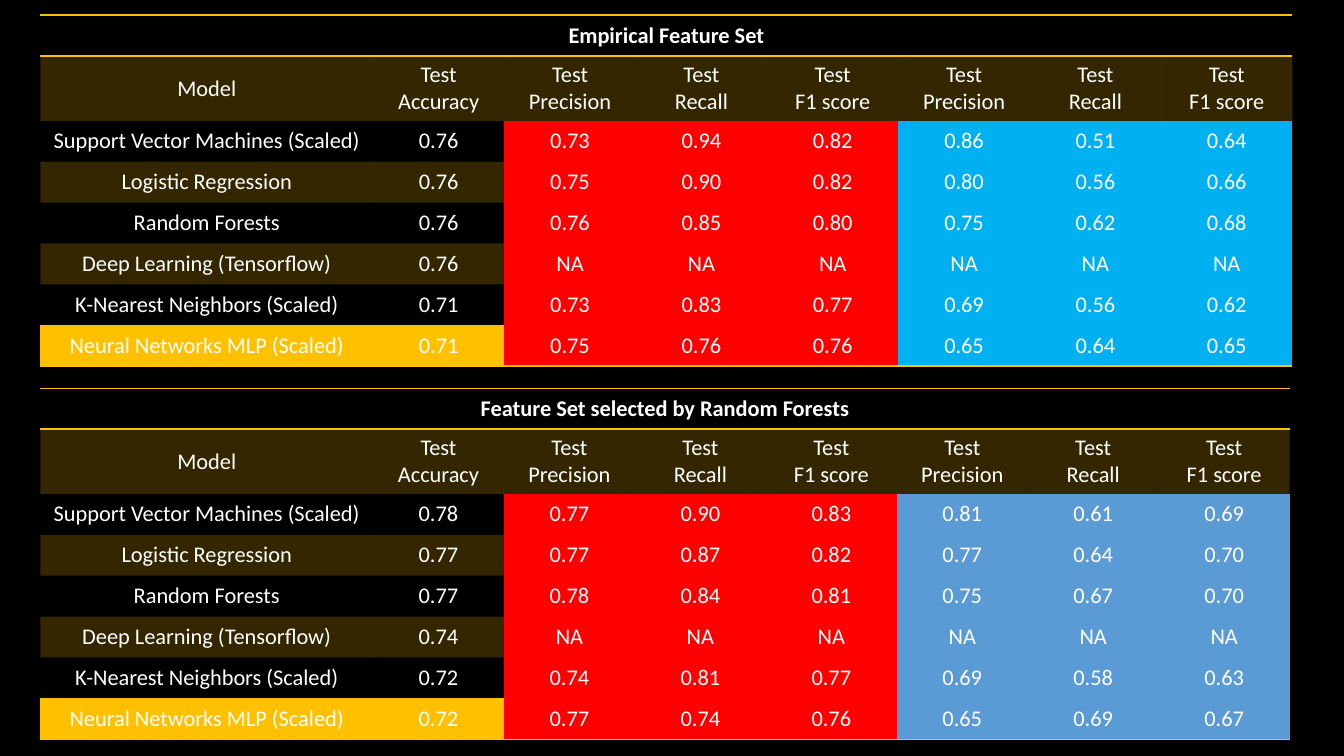
from lxml.etree import SubElement
from pptx import Presentation
from pptx.dml.color import RGBColor as RGB
from pptx.enum.text import MSO_ANCHOR as ANCHOR, PP_ALIGN as ALIGN
from pptx.oxml.ns import qn
from pptx.util import Cm, Pt

BLACK = RGB(0x00, 0x00, 0x00)
WHITE = RGB(0xFF, 0xFF, 0xFF)
GOLD = RGB(0xFF, 0xC0, 0x00)
RED = RGB(0xFF, 0x00, 0x00)
SKY = RGB(0x00, 0xB0, 0xF0)
STEEL = RGB(0x5B, 0x9B, 0xD5)

PLAIN_STYLE = "{2D5ABB26-0587-4C30-8999-92F81FD0307C}"
FONT = {"name": "Calibri", "size": Pt(16)}
FLAGS = {"first_row": False, "horz_banding": False}
MODEL_W, ROW_H, HEADER_H = 8.38, 1.03, 1.62

METRICS = ["Test\nPrecision", "Test\nRecall", "Test\nF1 score"]
HEADER = ["Model", "Test\nAccuracy"] + METRICS * 2
MODELS = [
    "Support Vector Machines (Scaled)", "Logistic Regression", "Random Forests",
    "Deep Learning (Tensorflow)", "K-Nearest Neighbors (Scaled)",
    "Neural Networks MLP (Scaled)",
]
EMPIRICAL = [
    "0.76 0.73 0.94 0.82 0.86 0.51 0.64",
    "0.76 0.75 0.90 0.82 0.80 0.56 0.66",
    "0.76 0.76 0.85 0.80 0.75 0.62 0.68",
    "0.76 NA NA NA NA NA NA",
    "0.71 0.73 0.83 0.77 0.69 0.56 0.62",
    "0.71 0.75 0.76 0.76 0.65 0.64 0.65",
]
SELECTED = [
    "0.78 0.77 0.90 0.83 0.81 0.61 0.69",
    "0.77 0.77 0.87 0.82 0.77 0.64 0.70",
    "0.77 0.78 0.84 0.81 0.75 0.67 0.70",
    "0.74 NA NA NA NA NA NA",
    "0.72 0.74 0.81 0.77 0.69 0.58 0.63",
    "0.72 0.77 0.74 0.76 0.65 0.69 0.67",
]


def set_attrs(obj, values):
    """Set each attribute named in values on obj."""
    for name, value in values.items():
        setattr(obj, name, value)


def write_cell(cell, text, bold=False):
    """Write centred white text, one paragraph per line."""
    cell.text = text
    cell.vertical_anchor = ANCHOR.MIDDLE
    for p in cell.text_frame.paragraphs:
        p.alignment = ALIGN.CENTER
        for r in p.runs:
            set_attrs(r.font, {**FONT, "bold": bold})
            r.font.color.rgb = WHITE


def add_border(cell, side):
    """Draw a 1 pt gold line on side T or B; call before filling the cell."""
    tc_pr = cell._tc.get_or_add_tcPr()
    ln = SubElement(tc_pr, qn(f"a:ln{side}"), w=str(Pt(1)))
    fill = SubElement(ln, qn("a:solidFill"))
    SubElement(fill, qn("a:srgbClr"), val=str(GOLD))


def fill_cell(cell, color, opacity=None):
    """Fill the cell, or clear it when color is None; opacity in percent."""
    if color is None:
        cell.fill.background()
        return
    cell.fill.solid()
    cell.fill.fore_color.rgb = color
    if opacity:
        clr = cell._tc.tcPr.find(f".//{qn('a:solidFill')}/{qn('a:srgbClr')}")
        SubElement(clr, qn("a:alpha"), val=str(opacity * 1000))


def add_scores(slide, left, top, metric_w, title, scores, second_color):
    """Place a titled score table with its top left corner at left, top (cm)."""
    rows = [[title] + [""] * 7, HEADER]
    rows += [[m] + s.split() for m, s in zip(MODELS, scores)]
    widths = [MODEL_W] + [metric_w] * 7
    heights = [ROW_H, HEADER_H] + [ROW_H] * len(MODELS)
    frame = slide.shapes.add_table(
        len(rows), len(widths), Cm(left), Cm(top), Cm(sum(widths)), Cm(sum(heights)))
    table = frame.table
    set_attrs(table, FLAGS)
    next(frame.element.iter(qn("a:tableStyleId"))).text = PLAIN_STYLE
    for column, width in zip(table.columns, widths):
        column.width = Cm(width)
    for row, height in zip(table.rows, heights):
        row.height = Cm(height)
    table.cell(0, 0).merge(table.cell(0, 7))

    groups = [None] * 2 + [RED] * 3 + [second_color] * 3
    last = len(rows) - 1
    for i, texts in enumerate(rows):
        for j, text in enumerate(texts):
            cell = table.cell(i, j)
            if text:
                write_cell(cell, text, bold=i == 0)
            for side in {0: "TB", last: "B"}.get(i, ""):
                add_border(cell, side)
            if i > 1 and groups[j]:
                fill_cell(cell, groups[j])
            elif i % 2:
                fill_cell(cell, GOLD, opacity=20)
            else:
                fill_cell(cell, None)


def build_slide(prs):
    """Add the black slide that compares the two feature sets."""
    s = prs.slides.add_slide(prs.slide_layouts[6])
    s.background.fill.solid()
    s.background.fill.fore_color.rgb = BLACK
    add_scores(s, 1.02, 0.38, 3.31, "Empirical Feature Set", EMPIRICAL, SKY)
    add_scores(s, 1.02, 9.78, 3.3, "Feature Set selected by Random Forests",
               SELECTED, STEEL)


prs = Presentation()
set_attrs(prs, {"slide_width": Cm(33.87), "slide_height": Cm(19.05)})
build_slide(prs)
prs.save("out.pptx")
